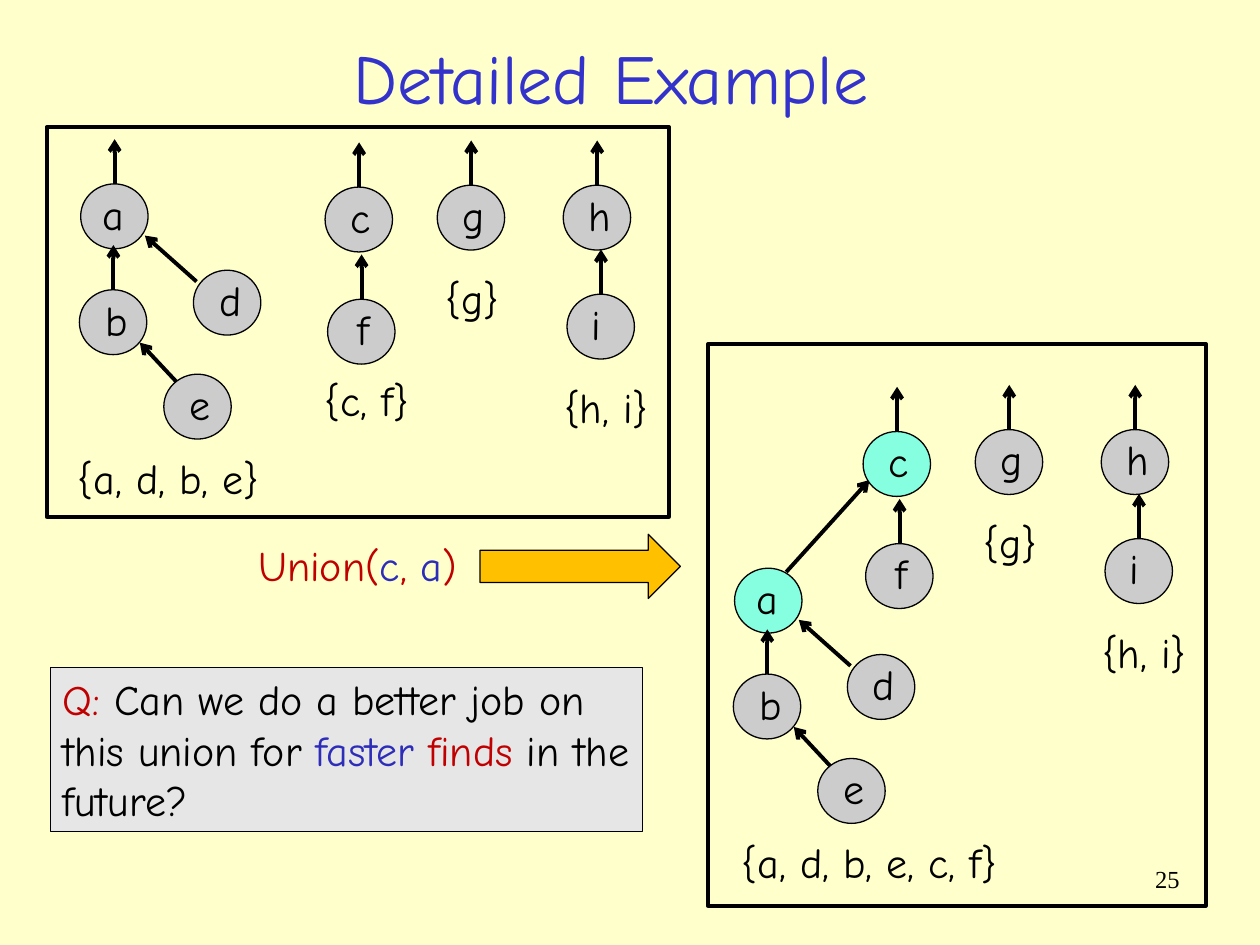
from dataclasses import dataclass, replace
from typing import Optional

from lxml.etree import SubElement
from pptx import Presentation
from pptx.dml.color import RGBColor
from pptx.enum.shapes import MSO_CONNECTOR as Connector, MSO_SHAPE as Preset
from pptx.enum.text import MSO_ANCHOR as Anchor, MSO_AUTO_SIZE as AutoSize, PP_ALIGN as Align
from pptx.oxml.ns import qn
from pptx.util import Inches, Pt


@dataclass(frozen=True)
class Theme:
    background: str = "FFFFCC"
    ink: str = "000000"
    title: str = "3333CC"
    red: str = "C00000"
    blue: str = "2D2DB9"
    node: str = "CCCCCC"
    changed: str = "85FFE0"
    arrow: str = "FFC000"
    panel: str = "E6E6E6"
    font: str = "Comic Neue"
    number_font: str = "Times New Roman"
    title_size: int = 40
    body_size: int = 24
    number_size: int = 14
    thin: float = 0.75
    thick: float = 2.25


THEME = Theme()
COLUMNS, ROWS = 100, 75
WIDTH, HEIGHT = Inches(10), Inches(7.5)
NODE_WIDTH, NODE_HEIGHT = 5.35, 5.15
LABEL_HEIGHT = 5
LABELS = {
    "a": (0.75, 3.7), "b": (1.1, 3.8), "c": (1, 3.6),
    "d": (1.05, 3.7), "e": (1.1, 3.6), "f": (1.4, 2.9),
    "g": (1, 3.7), "h": (1.05, 3.8), "i": (1, 2.7),
}


@dataclass(frozen=True)
class Box:
    column: float
    row: float
    columns: float
    rows: float = LABEL_HEIGHT

    def moved(self, columns: float, rows: float) -> "Box":
        return replace(self, column=self.column + columns, row=self.row + rows)

    def emu(self) -> tuple[int, int, int, int]:
        return across(self.column), down(self.row), across(self.columns), down(self.rows)


@dataclass(frozen=True)
class Pointer:
    column: float = 2.7
    row: float = 0
    columns: float = 0
    rows: float = -3.55


@dataclass(frozen=True)
class Node:
    letter: str
    column: float
    row: float
    pointer: Pointer = Pointer()
    fill: str = THEME.node


@dataclass(frozen=True)
class Tree:
    nodes: tuple[Node, ...]
    members: Optional[str] = None
    box: Optional[Box] = None


@dataclass(frozen=True)
class Run:
    text: str
    color: str = THEME.ink


def across(columns: float) -> int:
    return round(WIDTH * columns / COLUMNS)


def down(rows: float) -> int:
    return round(HEIGHT * rows / ROWS)


def write(shape, runs: list[Run], size: int = THEME.body_size, font: str = THEME.font,
          align=Align.LEFT, **frame_format) -> None:
    frame = shape.text_frame
    for name, value in {"vertical_anchor": Anchor.TOP, "word_wrap": True, **frame_format}.items():
        setattr(frame, name, value)
    paragraph = frame.paragraphs[0]
    paragraph.alignment = align
    for piece in runs:
        run = paragraph.add_run()
        run.text = piece.text
        for name, value in {"name": font, "size": Pt(size)}.items():
            setattr(run.font, name, value)
        run.font.color.rgb = RGBColor.from_string(piece.color)


def add_text(slide, box: Box, runs: list[Run], **text_format) -> None:
    write(slide.shapes.add_textbox(*box.emu()), runs, **text_format)


def add_label(slide, box: Box, *runs: Run) -> None:
    add_text(slide, box, list(runs), word_wrap=False, auto_size=AutoSize.SHAPE_TO_FIT_TEXT)


def add_shape(slide, preset, box: Box, fill: Optional[str] = None, weight: float = THEME.thin):
    shape = slide.shapes.add_shape(preset, *box.emu())
    shape.shadow.inherit = False
    if fill:
        shape.fill.solid()
        shape.fill.fore_color.rgb = RGBColor.from_string(fill)
    else:
        shape.fill.background()
    shape.line.color.rgb = RGBColor.from_string(THEME.ink)
    shape.line.width = Pt(weight)
    return shape


def add_pointer(slide, column: float, row: float, pointer: Pointer) -> None:
    connector = slide.shapes.add_connector(
        Connector.STRAIGHT, across(column), down(row),
        across(column + pointer.columns), down(row + pointer.rows))
    connector.line.color.rgb = RGBColor.from_string(THEME.ink)
    connector.line.width = Pt(THEME.thick)
    properties = connector._element.spPr
    SubElement(properties.find(qn("a:ln")), qn("a:tailEnd"), type="arrow")
    SubElement(properties, qn("a:effectLst"))


def add_node(slide, node: Node, columns: float, rows: float) -> None:
    box = Box(node.column, node.row, NODE_WIDTH, NODE_HEIGHT).moved(columns, rows)
    add_shape(slide, Preset.OVAL, box, node.fill)
    indent, width = LABELS[node.letter]
    add_label(slide, Box(box.column + indent, box.row - 0.15, width), Run(node.letter))
    add_pointer(slide, box.column + node.pointer.column, box.row + node.pointer.row, node.pointer)


def add_tree(slide, tree: Tree, columns: float = 0, rows: float = 0) -> None:
    for node in tree.nodes:
        add_node(slide, node, columns, rows)
    if tree.members:
        add_label(slide, tree.box.moved(columns, rows), Run(tree.members))


TREE_A = Tree((
    Node("a", 6.4, 14.6),
    Node("b", 6.3, 23),
    Node("d", 15.35, 21.45, Pointer(0.25, 0.9, -4.1, -3.65)),
    Node("e", 13, 29.7, Pointer(1, 0.6, -2.9, -3.1)),
), "{a, d, b, e}", Box(5.2, 35.4, 16.8))
TREE_C = Tree((Node("c", 25.8, 14.85), Node("f", 26, 23.75)), "{c, f}", Box(24.8, 29.2, 9))
KEPT_TREES = (
    Tree((Node("g", 34.7, 14.7),), "{g}", Box(34.4, 21.1, 6.7)),
    Tree((Node("h", 44.7, 14.7), Node("i", 45, 23.35)), "{h, i}", Box(43.8, 29.8, 9)),
)


def merged_trees() -> tuple[Tree, Tree]:
    root_a = replace(TREE_A.nodes[0], pointer=Pointer(4.1, 0.3, 6.6, -7.3), fill=THEME.changed)
    root_c = replace(TREE_C.nodes[0], fill=THEME.changed)
    return (Tree((root_a, *TREE_A.nodes[1:]), "{a, d, b, e, c, f}", Box(6, 35.4, 23)),
            Tree((root_c, *TREE_C.nodes[1:])))


def main() -> None:
    presentation = Presentation()
    presentation.slide_width, presentation.slide_height = WIDTH, HEIGHT
    slide = presentation.slides.add_slide(presentation.slide_layouts[6])
    slide.background.fill.solid()
    slide.background.fill.fore_color.rgb = RGBColor.from_string(THEME.background)

    add_text(slide, Box(73.8, 68.1, 20.8), [Run("25")], size=THEME.number_size,
             font=THEME.number_font, align=Align.RIGHT)
    add_text(slide, Box(3.7, 2.6, 89.6, 6.9), [Run("Detailed Example", THEME.title)],
             size=THEME.title_size, align=Align.CENTER, vertical_anchor=Anchor.MIDDLE)
    add_label(slide, Box(19.5, 42.3, 18), Run("Union(", THEME.red), Run("c", THEME.blue),
              Run(", ", THEME.red), Run("a", THEME.blue), Run(")", THEME.red))

    merged_a, merged_c = merged_trees()
    add_tree(slide, merged_a, 51.9, 30.5)
    for tree in (merged_c, *KEPT_TREES):
        add_tree(slide, tree, 42.7, 19.4)
    add_shape(slide, Preset.RECTANGLE, Box(56.2, 27.3, 39.5, 44.6), weight=THEME.thick)

    for tree in (TREE_A, TREE_C, *KEPT_TREES):
        add_tree(slide, tree)
    add_shape(slide, Preset.RECTANGLE, Box(3.7, 10.1, 49.4, 30.9), weight=THEME.thick)

    add_shape(slide, Preset.RIGHT_ARROW, Box(38.1, 42.4, 15.9, 5.1), THEME.arrow)
    question = add_shape(slide, Preset.RECTANGLE, Box(4, 53, 47, 13), THEME.panel)
    write(question, [
        Run("Q: ", THEME.red), Run("Can we do a better job on this union for "),
        Run("faster ", THEME.blue), Run("finds", THEME.red), Run(" in the future?"),
    ], auto_size=AutoSize.SHAPE_TO_FIT_TEXT)
    presentation.save("out.pptx")


if __name__ == "__main__":
    main()
